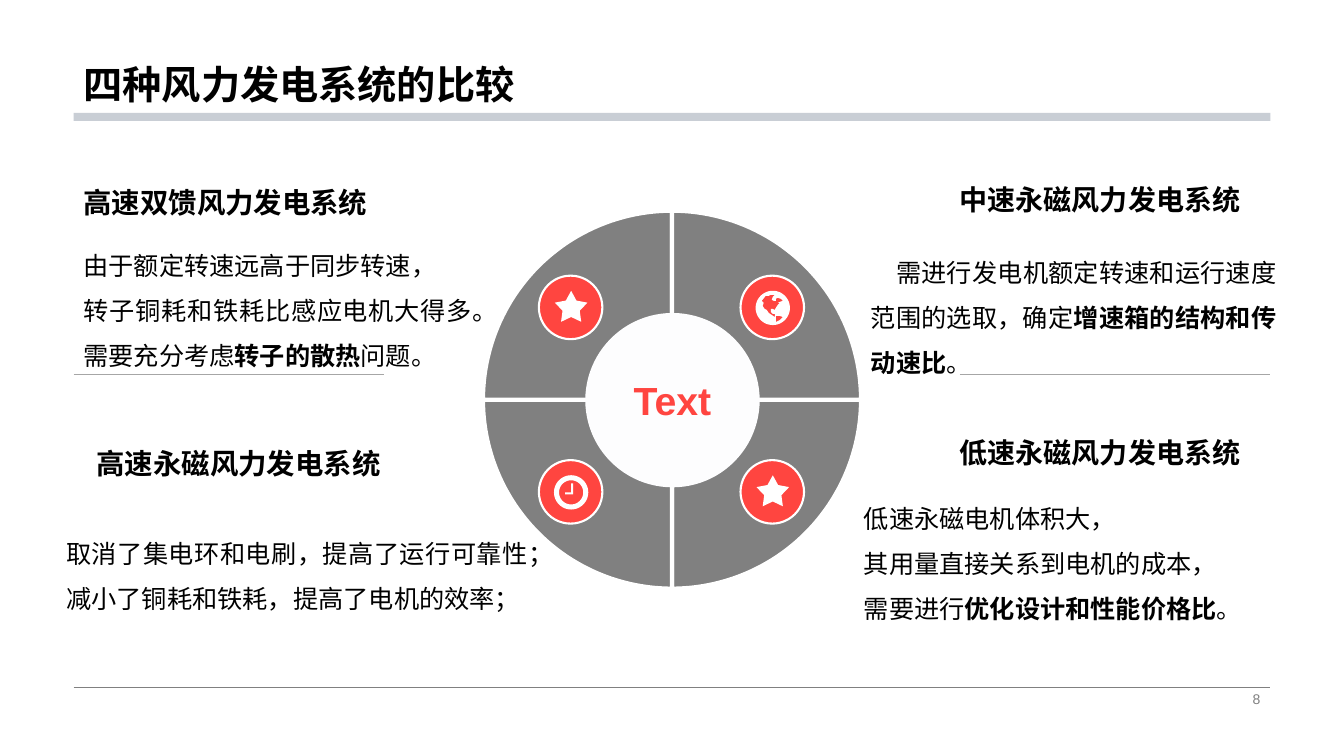
"""Build a slide that compares four wind power systems around a ring."""
from dataclasses import dataclass
from math import cos, pi, sin

from lxml import etree
from pptx import Presentation
from pptx import util as u
from pptx.dml.color import RGBColor
from pptx.enum import shapes as es
from pptx.enum import text as et
from pptx.oxml.ns import qn

PX = 9144


@dataclass(frozen=True)
class Theme:
    """Hold the colours, the font and the type sizes."""
    font: str = "Arial"
    ink: str = "000000"
    grey: str = "808080"
    bar: str = "C9CED5"
    hair: str = "A6A6A6"
    red: str = "FF4540"
    white: str = "FFFFFF"
    hub: str = "FDFDFE"
    title: float = 28
    left: float = 20.3
    right: float = 20
    body: float = 18
    page: float = 10


T = Theme()
LAND = [
    [(5, -5), (7, -6), (10, -7), (8, -9), (5, -10), (3, -9), (3, -7), (1, -7),
     (-1, -8), (0, -11), (2, -13), (-2, -13), (-4, -12), (-7, -12), (-11, -7),
     (-9, -5), (-10, -2), (-8, 1), (-6, 2), (-4, 5), (-1, 7), (2, 9), (2, 6),
     (0, 6), (-2, 4), (-2, 1), (0, 1), (2, 2), (3, 0), (5, -3), (7, -5)],
    [(10, 9), (7, 8), (3, 8), (3, 14), (7, 12)],
]
HAND = [(0, -9), (2, -9), (2, 2), (-6, 2), (-6, 0), (0, 0)]


def px(*vals):
    """Turn px lengths into EMU."""
    return [u.Emu(round(v * PX)) for v in vals]


def rgb(code):
    """Read a hex colour."""
    return RGBColor.from_string(code)


def paint(shape, fill, line=None, width=0):
    """Give a shape a flat fill and an optional outline."""
    shape.shadow.inherit = False
    shape.fill.solid()
    shape.fill.fore_color.rgb = rgb(fill)
    if line:
        shape.line.color.rgb = rgb(line)
        shape.line.width = u.Pt(width)
    else:
        shape.line.fill.background()
    return shape


def preset(slide, kind, box, *look):
    """Add a painted preset shape."""
    return paint(slide.shapes.add_shape(kind, *px(*box)), *look)


def free(slide, mid, rings, *look):
    """Add one outline whose closed rings are offsets from a centre."""
    spots = [[px(mid[0] + x, mid[1] + y) for x, y in ring] for ring in rings]
    pen = slide.shapes.build_freeform(*spots[0][0], scale=1.0)
    pen.add_line_segments(spots[0][1:], close=True)
    for ring in spots[1:]:
        pen.move_to(*ring[0])
        pen.add_line_segments(ring[1:], close=True)
    return paint(pen.convert_to_shape(), *look)


def arc(rad, start=0, turn=2 * pi, steps=48):
    """List the points of an arc about the origin."""
    turns = [start + turn * i / steps for i in range(steps + 1)]
    return [(rad * cos(a), rad * sin(a)) for a in turns]


def rule(slide, x, y, wide, color, width):
    """Draw a level hairline."""
    line = slide.shapes.add_connector(
        es.MSO_CONNECTOR.STRAIGHT, *px(x, y, x + wide, y))
    line.line.color.rgb = rgb(color)
    line.line.width = u.Pt(width)
    etree.SubElement(line.element.spPr, qn("a:effectLst"))


def write(shape, paras, size, color=T.ink, bold=False, align=et.PP_ALIGN.LEFT,
          anchor=et.MSO_ANCHOR.MIDDLE, space=1.0, indent=0):
    """Fill a frame run by run; every second run of a line flips weight."""
    frame = shape.text_frame
    frame.word_wrap = True
    frame.auto_size = et.MSO_AUTO_SIZE.NONE
    frame.vertical_anchor = anchor
    for i, runs in enumerate(paras):
        para = frame.add_paragraph() if i else frame.paragraphs[0]
        para.alignment = align
        para.line_spacing = space
        if indent:
            para._p.get_or_add_pPr().set("indent", str(px(indent)[0]))
        for j, words in enumerate(runs):
            run = para.add_run()
            run.text = words
            font = run.font
            font.name, font.size = T.font, u.Pt(size)
            font.bold = bold != (j % 2 == 1)
            font.color.rgb = rgb(color)


def label(slide, box, paras, size, **look):
    """Add a text box."""
    area = slide.shapes.add_textbox(*px(*box))
    write(area, paras, size, **look)
    return area


def frame(slide, box, name, page):
    """Place the title, the bar, the foot rule and the page number."""
    x, y, wide, high = box
    rule(slide, x, y + high, wide, T.grey, 0.5)
    preset(slide, es.MSO_SHAPE.RECTANGLE, (x, y + 112, wide, 8), T.bar)
    head = slide.shapes.title
    head.left, head.top, head.width, head.height = px(x, y, wide, 112)
    write(head, [[name]], T.title, bold=True, space=0.9,
          anchor=et.MSO_ANCHOR.BOTTOM)
    label(slide, (x + wide - 318, y + high, 318, 23), [[page]], T.page,
          color=T.grey, align=et.PP_ALIGN.RIGHT)


def badge(slide, mid, icon):
    """Place a red disc with a white icon on it."""
    x, y = mid
    preset(slide, es.MSO_SHAPE.OVAL, (x - 32, y - 32, 63, 63),
           T.red, T.white, 1.5)
    star = [(r * sin(i * pi / 5), -r * cos(i * pi / 5))
            for i, r in enumerate([17, 9] * 5)]
    rings = {"star": [star], "globe": [arc(17)] + LAND,
             "clock": [arc(17), arc(12), HAND]}
    free(slide, mid, rings[icon], T.white)


def wheel(slide, box, icons):
    """Place the four quarters, the hub and a badge on each quarter."""
    x, y, side = box
    rad = side / 2
    mid = x + rad, y + rad
    for i in range(4):
        free(slide, mid, [[(0, 0)] + arc(rad, i * pi / 2, pi / 2)],
             T.grey, T.white, 3)
    hub = preset(slide, es.MSO_SHAPE.OVAL,
                 (mid[0] - 86, mid[1] - 86, 173, 173), T.hub)
    write(hub, [["Text"]], T.title, color=T.red, bold=True,
          align=et.PP_ALIGN.CENTER)
    for i, icon in enumerate(icons):
        spot = mid[0] + (i % 2 * 2 - 1) * 100, mid[1] + (-91, 92)[i // 2]
        badge(slide, spot, icon)


def card(slide, head, box, name, paras, size, space):
    """Place a heading and its text."""
    label(slide, (*head, 318, 48), [[name]], size, bold=True, space=space)
    area = label(slide, box, paras, T.body, align=et.PP_ALIGN.JUSTIFY,
                 anchor=et.MSO_ANCHOR.TOP, space=1.5, indent=25)
    area.text_frame.auto_size = et.MSO_AUTO_SIZE.SHAPE_TO_FIT_TEXT


CARDS = [
    ((73, 177), (48, 228, 431, 141), "高速双馈风力发电系统",
     [["由于额定转速远高于同步转速，"], ["转子铜耗和铁耗比感应电机大得多。"],
      ["需要充分考虑", "转子的散热", "问题。"]], T.left, 1.0),
    ((86, 435), (31, 514, 503, 96), "高速永磁风力发电系统",
     [["取消了集电环和电刷，提高了运行可靠性；"],
      ["减小了铜耗和铁耗，提高了电机的效率；"]], T.left, 1.0),
    ((942, 177), (854, 235, 422, 186), "中速永磁风力发电系统",
     [["需进行发电机额定转速和运行速度范围的选取，确定",
       "增速箱的结构和传动速比", "。"]], T.right, 0.8),
    ((942, 428), (822, 479, 459, 141), "低速永磁风力发电系统",
     [["低速永磁电机体积大，"], ["其用量直接关系到电机的成本，"],
      ["需要进行", "优化设计和性能价格比", "。"]], T.right, 0.8),
]


def main():
    """Build and save the deck."""
    deck = Presentation()
    deck.slide_width, deck.slide_height = px(1333, 750)
    slide = deck.slides.add_slide(deck.slide_layouts[5])
    frame(slide, (73, 0, 1187, 682), "四种风力发电系统的比较", "8")
    wheel(slide, (479, 209, 375), ["star", "globe", "clock", "star"])
    for x in (73, 952):
        rule(slide, x, 371, 308, T.hair, 0.25)
    for item in CARDS:
        card(slide, *item)
    deck.save("out.pptx")


if __name__ == "__main__":
    main()
